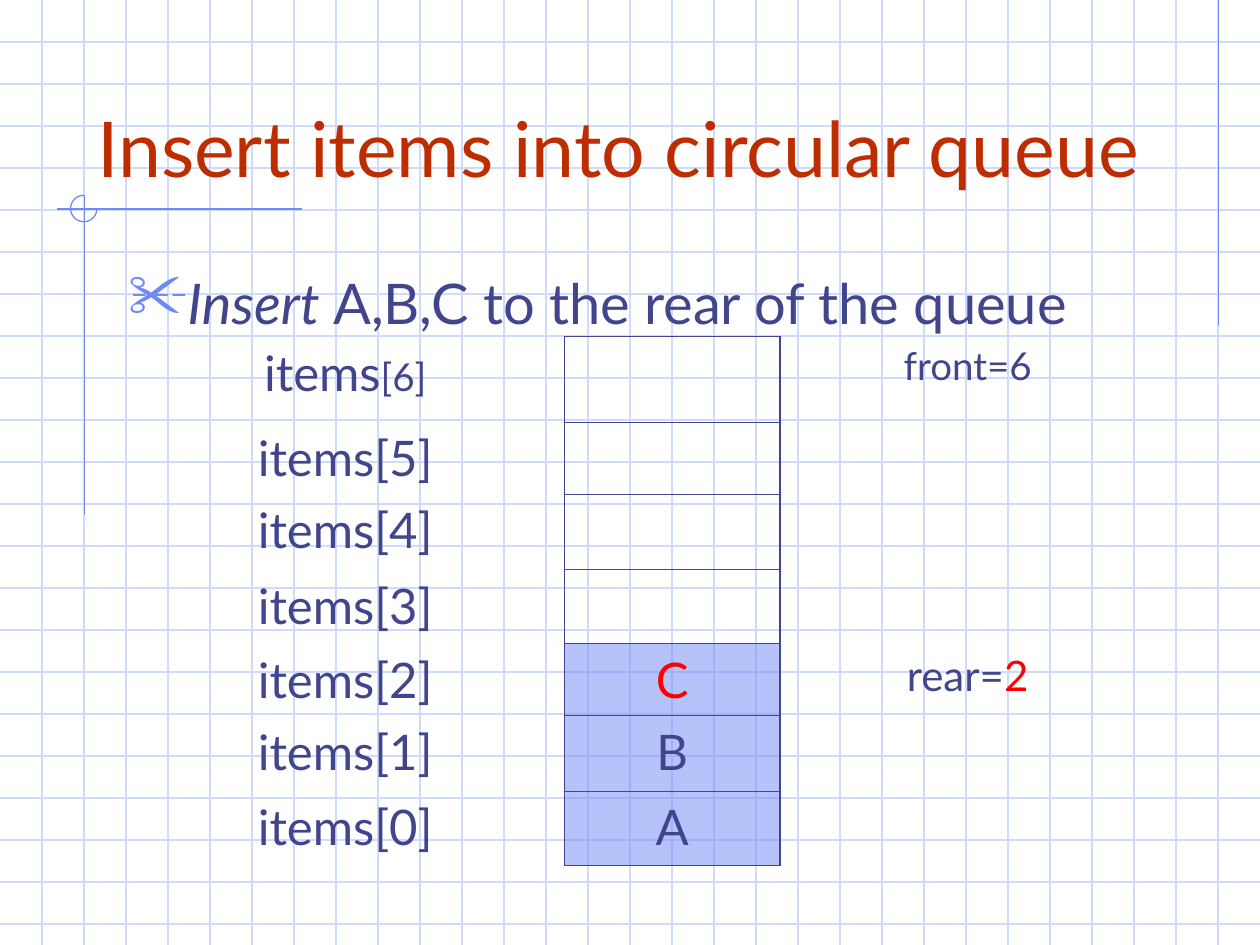
import pptx
import pptx.util
import pptx.dml.color
import pptx.enum.shapes
import pptx.enum.text
import pptx.oxml.ns
import lxml.etree

Inches, Pt = pptx.util.Inches, pptx.util.Pt
qn = pptx.oxml.ns.qn

THEME = {
    "font": "Lato", "ink": "40458C", "title": "BE2D00", "hot": "FF0000",
    "grid": "CFDBFD", "accent": "6F89F7", "alpha": 50,
    "head": 44, "lead": 32, "item": 28, "rear": 24, "small": 22,
    "rule": 0.75, "thick": 1.08, "thin": 0.45,
}
WIDE, HIGH = 10, 7.5
TITLE = "Insert items into circular queue"
LEAD = [("Insert ", "lead", "ink"), ("A,B,C to the rear of the queue", "lead", "ink")]
ROWS = [
    (0.68, [("items", "item", "ink"), ("[6]", "small", "ink")], [], [("front=6", "small", "ink")]),
    (0.57, [("items[5]", "item", "ink")], [], []),
    (0.6, [("items[4]", "item", "ink")], [], []),
    (0.59, [("items[3]", "item", "ink")], [], []),
    (0.57, [("items[2]", "item", "ink")], [("C", "item", "hot")],
     [("rear=", "rear", "ink"), ("2", "rear", "hot")]),
    (0.6, [("items[1]", "item", "ink")], [("B", "item", "ink")], []),
    (0.59, [("items[0]", "item", "ink")], [("A", "item", "ink")], []),
]
COLS = [3.48, 1.71, 2.98]
RULES = [(9.67, 0, 9.67, 2.58), (2.4, 1.66, 0.45, 1.66), (0.67, 1.55, 0.67, 4.09)]


def tint(key):
    return pptx.dml.color.RGBColor.from_string(THEME[key])


def write(para, runs):
    for text, size, color in runs:
        run = para.add_run()
        run.text = text
        run.font.name = THEME["font"]
        run.font.size = Pt(THEME[size])
        run.font.color.rgb = tint(color)


def rule(slide, ends, color):
    line = slide.shapes.add_connector(
        pptx.enum.shapes.MSO_CONNECTOR.STRAIGHT, *map(Inches, ends))
    line.line.color.rgb = tint(color)
    line.line.width = Pt(THEME["rule"])
    lxml.etree.SubElement(line._element.spPr, qn("a:effectLst"))


def border(cell, side, weight):
    props = cell._tc.get_or_add_tcPr()
    edge = lxml.etree.SubElement(props, qn("a:ln" + side))
    if not weight:
        lxml.etree.SubElement(edge, qn("a:noFill"))
        return
    edge.set("w", str(Pt(THEME[weight])))
    fill = lxml.etree.SubElement(edge, qn("a:solidFill"))
    lxml.etree.SubElement(fill, qn("a:srgbClr"), val=THEME["ink"])


def draw_back(slide):
    for n in range(1, int(HIGH * 3) + 1):
        rule(slide, (0, n / 3, WIDE, n / 3), "grid")
    for n in range(1, WIDE * 3):
        rule(slide, (n / 3, 0, n / 3, HIGH), "grid")
    for ends in RULES:
        rule(slide, ends, "accent")
    arc = slide.shapes.add_shape(
        pptx.enum.shapes.MSO_SHAPE.ARC, *map(Inches, (0.56, 1.55, 0.21, 0.21)))
    arc.adjustments[0], arc.adjustments[1] = 0, 162
    arc.shadow.inherit = False
    arc.fill.background()
    arc.line.color.rgb = tint("accent")
    arc.line.width = Pt(THEME["rule"])


def draw_text(slide):
    title = slide.shapes.title
    title.left, title.top, title.width, title.height = map(Inches, (0.67, 0.33, 8.5, 1.25))
    frame = title.text_frame
    frame.vertical_anchor = pptx.enum.text.MSO_ANCHOR.BOTTOM
    frame.paragraphs[0].alignment = pptx.enum.text.PP_ALIGN.LEFT
    write(frame.paragraphs[0], [(TITLE, "head", "title")])
    slide.shapes._spTree.append(title._element)

    frame = slide.shapes.add_textbox(*map(Inches, (0.92, 2.08, 8.5, 0.65))).text_frame
    frame.word_wrap = True
    para = frame.paragraphs[0]
    para.space_before = Pt(8)
    write(para, LEAD)
    para.runs[0].font.italic = True
    props = para._p.get_or_add_pPr()
    props.set("marL", str(Inches(0.38)))
    props.set("indent", str(Inches(-0.38)))
    color = lxml.etree.SubElement(props, qn("a:buClr"))
    lxml.etree.SubElement(color, qn("a:srgbClr"), val=THEME["accent"])
    lxml.etree.SubElement(props, qn("a:buSzPct"), val="110000")
    lxml.etree.SubElement(props, qn("a:buChar"), char="✂")


def draw_queue(slide):
    high = sum(row[0] for row in ROWS)
    table = slide.shapes.add_table(
        len(ROWS), len(COLS), *map(Inches, (1, 2.67, sum(COLS), high))).table
    table.first_row = table.horz_banding = False
    for col, width in zip(table.columns, COLS):
        col.width = Inches(width)
    last = len(ROWS) - 1
    for r, (height, *parts) in enumerate(ROWS):
        table.rows[r].height = Inches(height)
        for c, runs in enumerate(parts):
            cell = table.cell(r, c)
            mid = c == 1
            border(cell, "L", "thick" if c else None)
            border(cell, "R", "thick" if c < 2 else None)
            border(cell, "T", mid and ("thin" if r else "thick"))
            border(cell, "B", mid and ("thin" if r < last else "thick"))
            if mid and runs:
                cell.fill.solid()
                cell.fill.fore_color.rgb = tint("accent")
                shade = cell._tc.tcPr.find(qn("a:solidFill")).find(qn("a:srgbClr"))
                lxml.etree.SubElement(shade, qn("a:alpha"), val=str(THEME["alpha"] * 1000))
            else:
                cell.fill.background()
            if runs:
                para = cell.text_frame.paragraphs[0]
                para.alignment = pptx.enum.text.PP_ALIGN.CENTER
                para.space_before = Pt(THEME[runs[-1][1]] / 4)
                write(para, runs)


def main():
    deck = pptx.Presentation()
    deck.slide_width, deck.slide_height = Inches(WIDE), Inches(HIGH)
    slide = deck.slides.add_slide(deck.slide_layouts[5])
    draw_back(slide)
    draw_text(slide)
    draw_queue(slide)
    deck.save("out.pptx")


if __name__ == "__main__":
    main()
